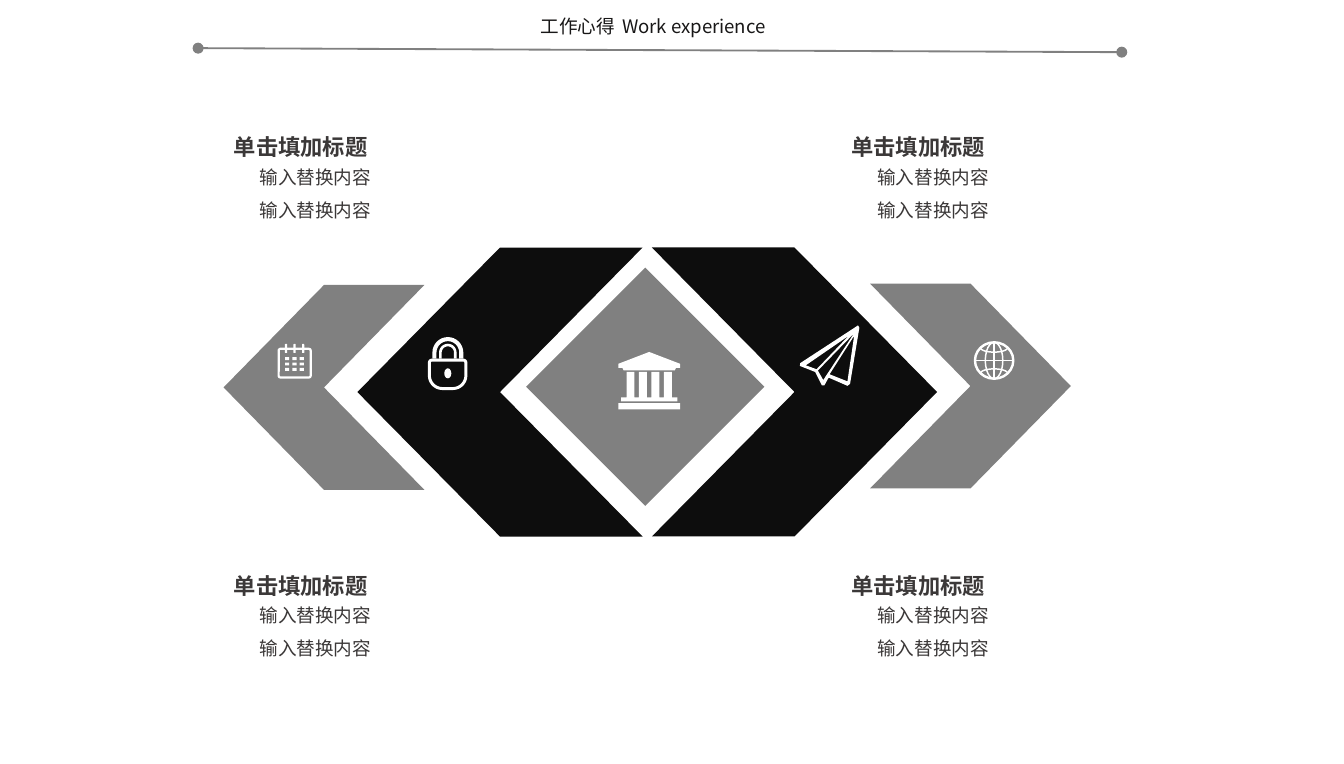
"""Build the work experience slide with its arrow band, icons and four text blocks."""
import math

import pptx
import pptx.dml.color
import pptx.enum.shapes
import pptx.enum.text
import pptx.oxml.ns
import pptx.util
from lxml import etree

Pt = pptx.util.Pt
RGBColor = pptx.dml.color.RGBColor
PRESET = pptx.enum.shapes.MSO_SHAPE
CENTER = pptx.enum.text.PP_ALIGN.CENTER

BLACK = RGBColor(0x0D, 0x0D, 0x0D)
GRAY = RGBColor(0x80, 0x80, 0x80)
WHITE = RGBColor(0xFF, 0xFF, 0xFF)
HEADER_INK = RGBColor(0x18, 0x17, 0x17)
TEXT_INK = RGBColor(0x3B, 0x38, 0x38)


def arc(center_x, center_y, radius_x, radius_y, start, end, steps=16):
    """Return points along an ellipse, with angles in degrees clockwise from the right."""
    angles = [math.radians(start + (end - start) * step / steps) for step in range(steps + 1)]
    return [(center_x + radius_x * math.cos(angle), center_y + radius_y * math.sin(angle))
            for angle in angles]


def rectangle(left, top, right, bottom):
    """Return the four corners of a rectangle."""
    return [(left, top), (right, top), (right, bottom), (left, bottom)]


def arch(radius):
    """Return one outline of the padlock's shackle."""
    return [(240.9 - radius, 193), *arc(240.9, 189.7, radius, radius, 180, 360),
            (240.9 + radius, 193)]


def lock_body(inset):
    """Return one outline of the padlock's body, moved inwards by the inset."""
    left, top, right, bottom = 230.2 + inset, 193 + inset, 251.4 - inset, 209.9 - inset
    small, large = 2.2 - inset, 7.8 - inset
    return [*arc(left + small, top + small, small, small, 180, 270),
            *arc(right - small, top + small, small, small, 270, 360),
            *arc(right - large, bottom - large, large, large, 0, 90),
            *arc(left + large, bottom - large, large, large, 90, 180)]


class SlideBuilder:
    """Hold the style and the current slide."""

    font_name = "Noto Sans CJK SC"

    def __init__(self, page):
        """Keep the page that elements are added to."""
        self.page = page

    def paint(self, shape, fill=None, line=None, weight=1):
        """Set the fill and outline of a shape."""
        shape.shadow.inherit = False
        if fill is None:
            shape.fill.background()
        else:
            shape.fill.solid()
            shape.fill.fore_color.rgb = fill
        if line is None:
            shape.line.fill.background()
        else:
            shape.line.color.rgb = line
            shape.line.width = Pt(weight)

    def preset(self, kind, left, top, width, height, rotation=0, **paint):
        """Add a preset shape."""
        shape = self.page.shapes.add_shape(kind, Pt(left), Pt(top), Pt(width), Pt(height))
        shape.rotation = rotation
        self.paint(shape, **paint)
        return shape

    def outline(self, contours, close=True, **paint):
        """Add one freeform made of several contours."""
        contours = [[(Pt(x), Pt(y)) for x, y in contour] for contour in contours]
        builder = self.page.shapes.build_freeform(*contours[0][0])
        for index, contour in enumerate(contours):
            if index:
                builder.move_to(*contour[0])
            builder.add_line_segments(contour[1:], close=close)
        self.paint(builder.convert_to_shape(), **paint)

    def line(self, start, end, color, weight, ends=None):
        """Add a straight line with optional end marks."""
        connector = self.page.shapes.add_connector(
            pptx.enum.shapes.MSO_CONNECTOR.STRAIGHT, *map(Pt, start + end))
        connector.line.color.rgb = color
        connector.line.width = Pt(weight)
        if ends:
            stroke = connector.line._get_or_add_ln()
            for tag in ("a:headEnd", "a:tailEnd"):
                etree.SubElement(stroke, pptx.oxml.ns.qn(tag), type=ends)
        etree.SubElement(connector._element.spPr, pptx.oxml.ns.qn("a:effectLst"))

    def text(self, lines, left, top, width, height, color, font, layout, wrap=True, margin=None):
        """Add a text box with one paragraph per line."""
        box = self.page.shapes.add_textbox(Pt(left), Pt(top), Pt(width), Pt(height))
        frame = box.text_frame
        frame.word_wrap = wrap
        if margin is not None:
            for side in ("left", "top", "right", "bottom"):
                setattr(frame, f"margin_{side}", Pt(margin))
        for index, words in enumerate(lines):
            para = frame.add_paragraph() if index else frame.paragraphs[0]
            for name, value in layout.items():
                if index or name != "space_before":
                    setattr(para, name, value)
            span = para.add_run()
            span.text = words
            for name, value in {"name": self.font_name, **font}.items():
                setattr(span.font, name, value)
            span.font.color.rgb = color
            etree.SubElement(span.font._element, pptx.oxml.ns.qn("a:ea"), typeface=self.font_name)


def draw_header(slide):
    """Draw the two title texts and the rule."""
    slide.line((106.56, 25.92), (603.36, 28.08), GRAY, 1, ends="oval")
    for words, left, width in (("工作心得", 283.7, 54.7), ("Work experience", 327.6, 95.8)):
        slide.text([words], left, 4.3, width, 19.4, HEADER_INK, {"size": Pt(10)},
                   {"line_spacing": Pt(12)}, wrap=False)


def draw_band(slide):
    """Draw the four chevrons around the diamond."""
    for left, rotation in ((350.64, 0), (192.24, 180)):
        slide.preset(PRESET.CHEVRON, left, 133.2, 153.4, 155.5, rotation, fill=BLACK)
    for left, top, rotation in ((468, 152.64, 0), (120.24, 153.36, 180)):
        slide.preset(PRESET.CHEVRON, left, top, 108, 110.2, rotation, fill=GRAY)
    slide.preset(PRESET.DIAMOND, 282.96, 144, 128.2, 128.2, fill=GRAY)


def draw_bank(slide):
    """Draw the bank icon."""
    roof = [(332.6, 195.8), (349.2, 189.4), (365.8, 195.8), (365.8, 198), (363.6, 198),
            (362.9, 199.4), (335.5, 199.4), (334.8, 198), (332.6, 198)]
    columns = [rectangle(337 + 6.7 * index, 200.2, 341.3 + 6.7 * index, 213.8)
               for index in range(4)]
    slide.outline([roof, *columns, rectangle(334.1, 213.8, 364.3, 216),
                   rectangle(332.6, 216.9, 365.8, 220.3)], fill=WHITE)


def draw_lock(slide):
    """Draw the padlock icon."""
    slide.outline([arch(radius) for radius in (8.3, 6.1, 4.7, 3.3)], fill=WHITE)
    slide.outline([lock_body(inset) for inset in (0, 1.6)], fill=WHITE)
    slide.preset(PRESET.OVAL, 239, 198.2, 3.8, 5.4, fill=WHITE)


def draw_plane(slide):
    """Draw the paper plane icon."""
    slide.outline([
        [(461.5, 175.1), (430.4, 195.4), (430.2, 196.9), (438.5, 200.2), (442.1, 207.4),
         (443.4, 207.4), (445.7, 203.2), (455.8, 207.6), (457.2, 206.6), (462.2, 176.4)],
        [(433.4, 196.6), (456.5, 180.7), (439.2, 198.7)],
        [(439.9, 199.4), (459.4, 179.3), (442.8, 204.5)],
        [(455.8, 205.2), (446.2, 201.4), (459.4, 180.7)]], fill=WHITE)


def draw_calendar(slide):
    """Draw the calendar icon."""
    frame = slide.preset(PRESET.ROUNDED_RECTANGLE, 149.9, 187.7, 17.2, 15.4,
                         line=WHITE, weight=1.2)
    frame.adjustments[0] = 0.06
    for column in range(3):
        slide.preset(PRESET.ROUNDED_RECTANGLE, 153.3 + 4.6 * column, 185.1, 1.2, 4.8, fill=WHITE)
        for row in range(3):
            slide.preset(PRESET.RECTANGLE, 153.3 + 3.95 * column, 192.2 + 2.9 * row,
                         2.3, 1.6, fill=WHITE)


def draw_globe(slide):
    """Draw the globe icon."""
    center_x, center_y = 534.7, 194
    for radius_x, weight in ((10.3, 1.3), (4.7, 0.8)):
        slide.preset(PRESET.OVAL, center_x - radius_x, center_y - 9.8, 2 * radius_x, 19.6,
                     line=WHITE, weight=weight)
    slide.line((center_x, center_y - 9.8), (center_x, center_y + 9.8), WHITE, 0.8)
    slide.line((center_x - 10.3, center_y), (center_x + 10.3, center_y), WHITE, 0.8)
    for offset, start, end in ((-6.8, 180, 0), (6.8, 180, 360)):
        slide.outline([arc(center_x, center_y + offset, 7.2, 2.3, start, end)],
                      close=False, line=WHITE, weight=0.8)


def draw_blocks(slide):
    """Draw the four headings with their two lines."""
    for left in (92.2, 424.4):
        for top in (69.1, 305):
            slide.text(["输入替换内容"] * 2, left, top + 16.4, 154.8, 37.4, TEXT_INK,
                       {"size": Pt(10)},
                       {"alignment": CENTER, "line_spacing": Pt(12), "space_before": Pt(6)})
            slide.text(["单击填加标题"], left + 20.3, top, 98.6, 16.6, TEXT_INK,
                       {"size": Pt(12), "bold": True},
                       {"alignment": CENTER, "line_spacing": 1.2}, margin=0)


def main():
    """Build and save the deck."""
    deck = pptx.Presentation()
    deck.slide_width, deck.slide_height = Pt(722.88), Pt(411.12)
    slide = SlideBuilder(deck.slides.add_slide(deck.slide_layouts[6]))
    for draw in (draw_header, draw_band, draw_bank, draw_lock, draw_plane,
                 draw_calendar, draw_globe, draw_blocks):
        draw(slide)
    deck.save("out.pptx")


if __name__ == "__main__":
    main()
